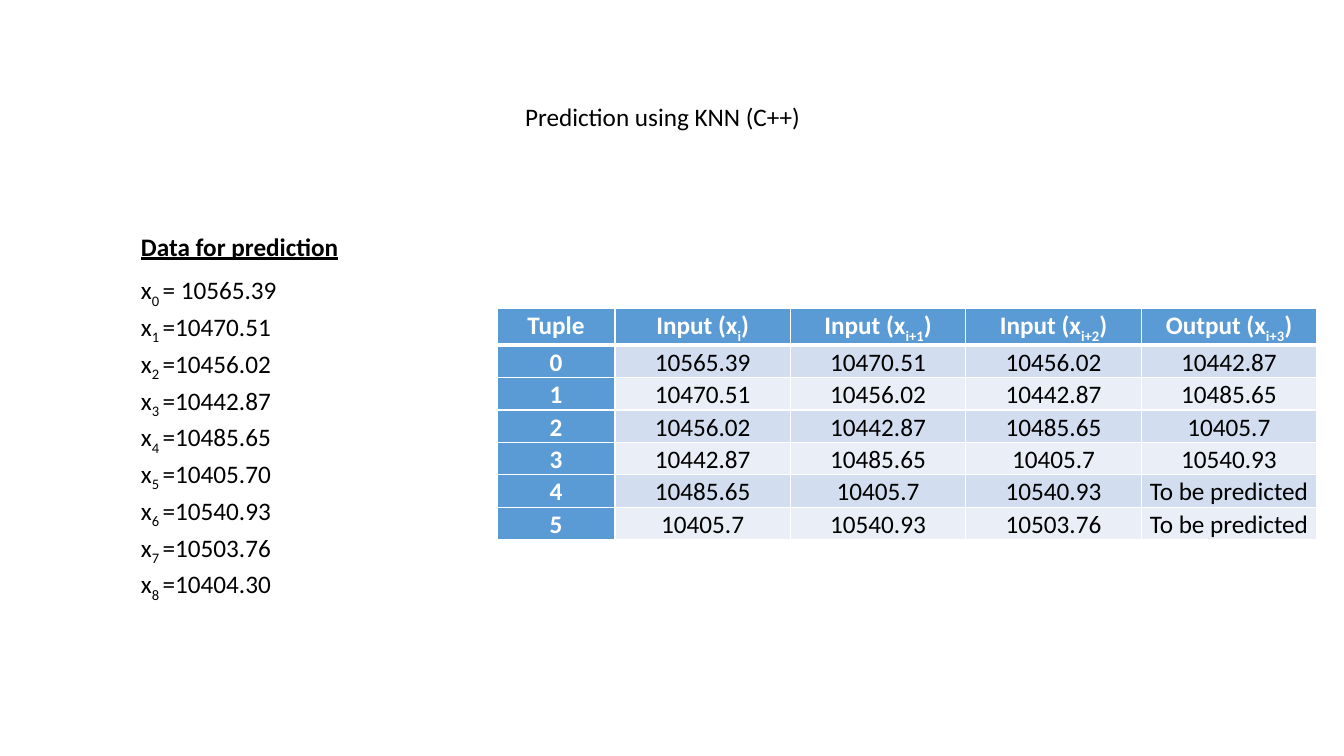
"""Build the KNN prediction slide with its data series and tuple table."""
from lxml.etree import SubElement
from pptx import Presentation
from pptx.dml.color import RGBColor
from pptx.enum.text import MSO_AUTO_SIZE, PP_ALIGN
from pptx.oxml.ns import qn
from pptx.util import Inches, Pt

TITLE = "Prediction using KNN (C++)"
HEADING = "Data for prediction"
SERIES = ["10565.39", "10470.51", "10456.02", "10442.87", "10485.65",
          "10405.70", "10540.93", "10503.76", "10404.30"]
HEADERS = [("Tuple",), ("Input (x", "i", ")"), ("Input (x", "i+1", ")"),
           ("Input (x", "i+2", ")"), ("Output (x", "i+3", ")")]
UNKNOWN = "To be predicted"
TUPLES, KNOWN_TUPLES, INPUTS = 6, 4, 3

COLORS = {"text": "000000", "white": "FFFFFF", "header": "5B9BD5",
          "odd": "D2DEEF", "even": "EAEFF7"}
FONT, SIZE, LINE_SPACING = "Calibri", 18, 1.07
TITLE_BOX = (5.11, 0.96, 2.97, 0.4)
SERIES_BOX = (1.3, 2.22, 6.67, 3.45)
TABLE_BOX = (4.93, 3.06, 8.13, 2.25)
COLUMN_WIDTHS = [1.17] + [1.74] * 4
ROW_HEIGHT, CELL_INSET = 0.19, 0.07
THIN, THICK = 1, 3


def write(para, parts, color="text", bold=False):
    """Fill a paragraph; every second part is a subscript."""
    for index, part in enumerate(parts):
        span = para.add_run()
        span.text = part
        if index % 2:
            span.font._element.set("baseline", "-25000")
    font = para.font
    font.name, font.size, font.bold = FONT, Pt(SIZE), bold
    font.color.rgb = RGBColor.from_string(COLORS[color])


def add_box(page, place, wrap):
    """Add an empty text box and return its text frame."""
    frame = page.shapes.add_textbox(*map(Inches, place)).text_frame
    frame.word_wrap = wrap
    frame.auto_size = MSO_AUTO_SIZE.SHAPE_TO_FIT_TEXT
    return frame


def add_series(page):
    """List the data points under their heading."""
    frame = add_box(page, SERIES_BOX, True)
    heading = frame.paragraphs[0]
    write(heading, [HEADING], bold=True)
    heading.font.underline = True
    heading.line_spacing, heading.space_after = LINE_SPACING, Pt(8)
    for index, value in enumerate(SERIES):
        para = frame.add_paragraph()
        para.line_spacing = LINE_SPACING
        equals = "=" if index else "= "
        write(para, ["x", f"{index} ", equals + value])


def set_borders(cell, row):
    """Draw white borders, thick between the header and the body."""
    widths = {"a:lnL": THIN, "a:lnR": THIN,
              "a:lnT": THICK if row == 1 else THIN,
              "a:lnB": THICK if row == 0 else THIN}
    properties = cell._tc.get_or_add_tcPr()
    for tag, width in widths.items():
        line = SubElement(properties, qn(tag), w=str(Pt(width)))
        fill = SubElement(line, qn("a:solidFill"))
        SubElement(fill, qn("a:srgbClr"), val=COLORS["white"])


def tuple_rows():
    """Slide a window over the series to get the table body."""
    values = [value.rstrip("0") for value in SERIES]
    for start in range(TUPLES):
        end = start + INPUTS
        output = values[end] if start < KNOWN_TUPLES else UNKNOWN
        yield [(text,) for text in [str(start), *values[start:end], output]]


def add_tuple_table(page):
    """Add the table of inputs and outputs."""
    rows = [HEADERS, *tuple_rows()]
    holder = page.shapes.add_table(len(rows), len(HEADERS), *map(Inches, TABLE_BOX))
    table = holder.table
    for column, width in zip(table.columns, COLUMN_WIDTHS):
        column.width = Inches(width)
    for row, contents in enumerate(rows):
        table.rows[row].height = Inches(ROW_HEIGHT)
        for column, parts in enumerate(contents):
            cell = table.cell(row, column)
            cell.margin_left = cell.margin_right = Inches(CELL_INSET)
            cell.margin_top = cell.margin_bottom = 0
            set_borders(cell, row)
            is_header = row == 0 or column == 0
            shade = "header" if is_header else "odd" if row % 2 else "even"
            cell.fill.solid()
            cell.fill.fore_color.rgb = RGBColor.from_string(COLORS[shade])
            para = cell.text_frame.paragraphs[0]
            para.alignment, para.line_spacing = PP_ALIGN.CENTER, LINE_SPACING
            write(para, parts, "white" if is_header else "text", is_header)
    holder.height = Inches(TABLE_BOX[3])


def main():
    deck = Presentation()
    deck.slide_width, deck.slide_height = Inches(13.33), Inches(7.5)
    page = deck.slides.add_slide(deck.slide_layouts[6])
    write(add_box(page, TITLE_BOX, False).paragraphs[0], [TITLE])
    add_tuple_table(page)
    add_series(page)
    deck.save("out.pptx")


if __name__ == "__main__":
    main()
